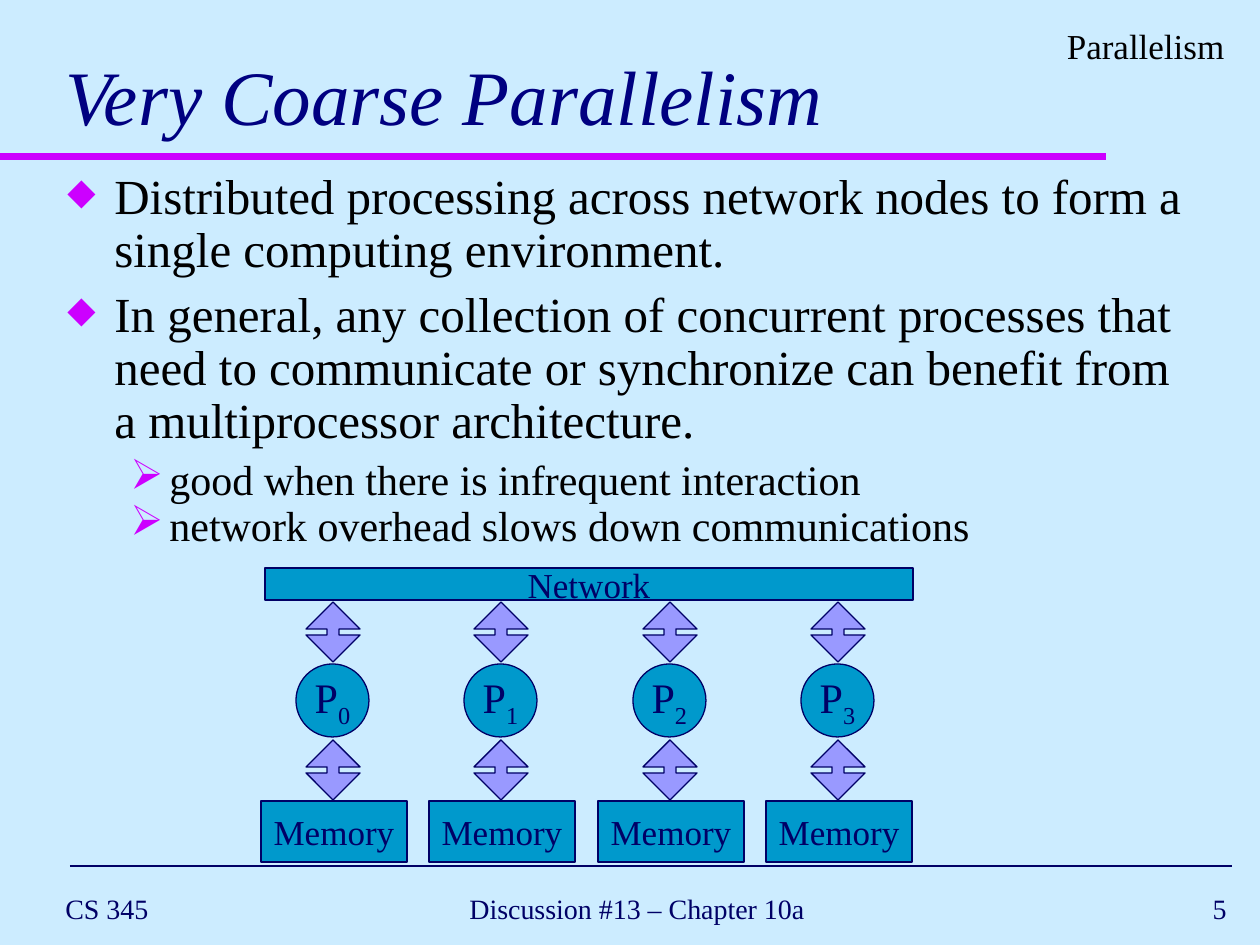
from dataclasses import dataclass
from typing import Optional

from lxml import etree
from pptx import Presentation
from pptx import util as u
from pptx.dml.color import RGBColor
from pptx.enum import shapes, text
from pptx.oxml import ns

PIXEL = 914400 / 126
FONT = "Times New Roman"
COLORS = {
    "background": "CCECFF",
    "accent": "CC00FF",
    "navy": "000066",
    "title": "000080",
    "black": "000000",
    "node": "0099CC",
    "arrow": "9999FF",
}
LEFT, CENTER, RIGHT = text.PP_ALIGN.LEFT, text.PP_ALIGN.CENTER, text.PP_ALIGN.RIGHT
TOP, MIDDLE = text.MSO_ANCHOR.TOP, text.MSO_ANCHOR.MIDDLE
RECTANGLE = shapes.MSO_SHAPE.RECTANGLE
OVAL = shapes.MSO_SHAPE.OVAL
ARROW = shapes.MSO_SHAPE.UP_DOWN_ARROW


@dataclass
class Area:
    left: int
    top: int
    width: int
    height: int

    def emu(self) -> list[int]:
        """Return the four lengths in EMU."""
        return [px(n) for n in (self.left, self.top, self.width, self.height)]


@dataclass
class Label:
    words: str
    area: Area
    size: int
    color: str
    align: text.PP_ALIGN = LEFT
    anchor: text.MSO_ANCHOR = MIDDLE
    italic: bool = False


@dataclass
class Level:
    mark: str
    mark_percent: int
    size: int
    margin: int
    hanging: int


@dataclass
class Point:
    words: str
    level: Level
    before: int


@dataclass
class Rule:
    left: int
    right: int
    y: int
    color: str
    weight: float


def px(length: float) -> int:
    """Turn picture pixels into EMU."""
    return round(length * PIXEL)


def rgb(name: str) -> RGBColor:
    """Look up a colour by its name."""
    return RGBColor.from_string(COLORS[name])


def style(para, size: int, color: str, align=LEFT, italic: bool = False) -> None:
    """Set the font and alignment of a whole paragraph."""
    para.alignment = align
    para.font.name = FONT
    para.font.size = u.Pt(size)
    para.font.italic = italic
    para.font.color.rgb = rgb(color)


def add_rule(page, rule: Rule) -> None:
    """Draw a horizontal line without a shadow."""
    line = page.shapes.add_connector(
        shapes.MSO_CONNECTOR.STRAIGHT, px(rule.left), px(rule.y), px(rule.right), px(rule.y))
    line.line.color.rgb = rgb(rule.color)
    line.line.width = u.Pt(rule.weight)
    etree.SubElement(line._element.spPr, ns.qn("a:effectLst"))


def add_label(page, label: Label) -> None:
    """Add a text box with one paragraph."""
    frame = page.shapes.add_textbox(*label.area.emu()).text_frame
    frame.word_wrap = True
    frame.vertical_anchor = label.anchor
    para = frame.paragraphs[0]
    para.text = label.words
    style(para, label.size, label.color, label.align, label.italic)


def add_bullet(para, level: Level) -> None:
    """Give a paragraph its bullet and hanging indent."""
    props = para._p.get_or_add_pPr()
    props.set("marL", str(px(level.margin)))
    props.set("indent", str(-px(level.hanging)))
    color = etree.SubElement(props, ns.qn("a:buClr"))
    etree.SubElement(color, ns.qn("a:srgbClr"), val=COLORS["accent"])
    etree.SubElement(props, ns.qn("a:buSzPct"), val=str(level.mark_percent * 1000))
    etree.SubElement(props, ns.qn("a:buChar"), char=level.mark)


def add_points(page, area: Area, points: list[Point]) -> None:
    """Add the bulleted body text."""
    frame = page.shapes.add_textbox(*area.emu()).text_frame
    frame.word_wrap = True
    for index, point in enumerate(points):
        para = frame.add_paragraph() if index else frame.paragraphs[0]
        para.text = point.words
        para.line_spacing = 0.9
        para.space_before = u.Pt(point.before)
        add_bullet(para, point.level)
        style(para, point.level.size, "black")


def add_part(page, kind: shapes.MSO_SHAPE, area: Area, fill: str, words: str = "",
             size: int = 20, subscript: Optional[str] = None) -> None:
    """Add one outlined part of the network diagram."""
    shape = page.shapes.add_shape(kind, *area.emu())
    shape.shadow.inherit = False
    shape.fill.solid()
    shape.fill.fore_color.rgb = rgb(fill)
    shape.line.color.rgb = rgb("navy")
    shape.line.width = u.Pt(0.74)
    if kind == ARROW:
        shape.adjustments[0], shape.adjustments[1] = 0.5, 0.22
    if words:
        frame = shape.text_frame
        frame.word_wrap = False
        frame.vertical_anchor = MIDDLE
        para = frame.paragraphs[0]
        para.add_run().text = words
        if subscript:
            span = para.add_run()
            span.text = subscript
            span._r.get_or_add_rPr().set("baseline", "-25000")
        style(para, size, "navy", CENTER)


def add_diagram(page, nodes: int = 4, span: int = 505) -> None:
    """Draw the network bar and one column per processor."""
    add_part(page, RECTANGLE, Area(265, 568, 648, 32), "node", "Network")
    for node in range(nodes):
        shift = round(node * span / (nodes - 1))
        add_part(page, RECTANGLE, Area(261 + shift, 801, 146, 61), "node", "Memory")
        add_part(page, OVAL, Area(296 + shift, 664, 73, 73), "node", "P", 24, str(node))
        for top in (602, 740):
            add_part(page, ARROW, Area(306 + shift, top, 54, 60), "arrow")


MAIN = Level("◆", 75, 28, 47, 47)
DETAIL = Level("➢", 100, 24, 102, 39)
POINTS = [
    Point("Distributed processing across network nodes to form a single computing "
          "environment.", MAIN, 7),
    Point("In general, any collection of concurrent processes that need to communicate "
          "or synchronize can benefit from a multiprocessor architecture.", MAIN, 7),
    Point("good when there is infrequent interaction", DETAIL, 6),
    Point("network overhead slows down communications", DETAIL, 0),
]
RULES = [Rule(0, 1106, 157, "accent", 4), Rule(70, 1232, 866, "navy", 1)]
LABELS = [
    Label("CS 345", Area(53, 882, 336, 53), 16, "navy"),
    Label("Discussion #13 – Chapter 10a", Area(387, 882, 500, 53), 16, "navy", CENTER),
    Label("5", Area(977, 882, 262, 53), 16, "navy", RIGHT),
    Label("Very Coarse Parallelism", Area(53, 42, 1166, 105), 44, "title", italic=True),
    Label("Parallelism", Area(786, 18, 451, 55), 20, "black", RIGHT, TOP),
]

deck = Presentation()
deck.slide_width, deck.slide_height = px(1260), px(945)
page = deck.slides.add_slide(deck.slide_layouts[6])
page.background.fill.solid()
page.background.fill.fore_color.rgb = rgb("background")
for rule in RULES:
    add_rule(page, rule)
for label in LABELS:
    add_label(page, label)
add_points(page, Area(55, 166, 1152, 406), POINTS)
add_diagram(page)
deck.save("out.pptx")
